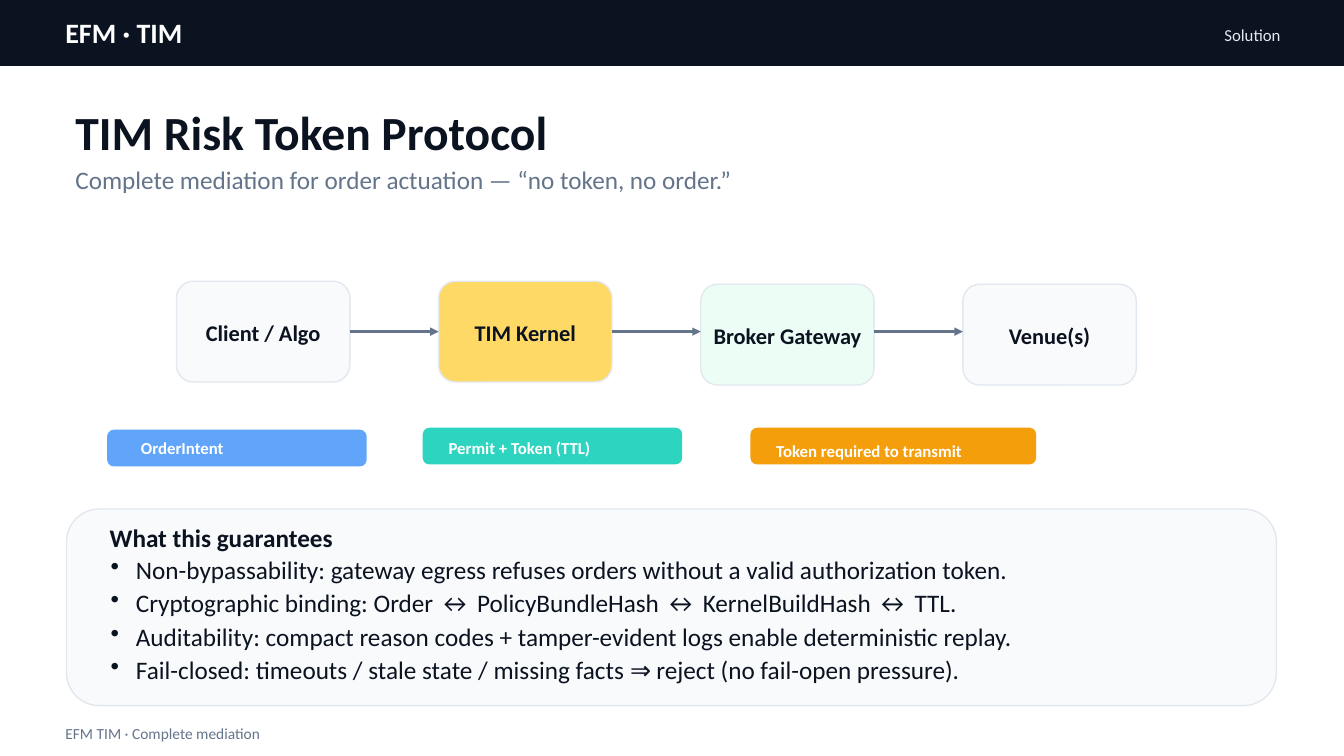
from lxml import etree
from pptx import Presentation
from pptx.dml.color import RGBColor
from pptx.enum.shapes import MSO_CONNECTOR, MSO_SHAPE
from pptx.enum.text import MSO_ANCHOR, PP_ALIGN
from pptx.oxml.ns import qn
from pptx.util import Inches, Pt

RECT, ROUNDED = MSO_SHAPE.RECTANGLE, MSO_SHAPE.ROUNDED_RECTANGLE
STRAIGHT = MSO_CONNECTOR.STRAIGHT
TOP, MIDDLE = MSO_ANCHOR.TOP, MSO_ANCHOR.MIDDLE
LEFT, CENTER, RIGHT = PP_ALIGN.LEFT, PP_ALIGN.CENTER, PP_ALIGN.RIGHT

FONT = "Calibri"
NAVY = RGBColor(0x0B, 0x13, 0x20)
WHITE = RGBColor(0xFF, 0xFF, 0xFF)
SLATE = RGBColor(0x64, 0x74, 0x8B)
MIST = RGBColor(0xE2, 0xE8, 0xF0)
PALE = RGBColor(0xF8, 0xFA, 0xFC)
YELLOW = RGBColor(0xFF, 0xD9, 0x66)
MINT = RGBColor(0xEC, 0xFD, 0xF5)
BLUE = RGBColor(0x60, 0xA5, 0xFA)
TEAL = RGBColor(0x2D, 0xD4, 0xBF)
ORANGE = RGBColor(0xF5, 0x9E, 0x0B)

BRAND_STYLE = {"size": Pt(20), "color": WHITE, "bold": True}
SECTION_STYLE = {"size": Pt(12), "color": MIST}
TITLE_STYLE = {"size": Pt(34), "color": NAVY, "bold": True}
SUBTITLE_STYLE = {"size": Pt(18), "color": SLATE}
NODE_STYLE = {"size": Pt(16), "color": NAVY, "bold": True}
TAG_STYLE = {"size": Pt(12), "color": WHITE, "bold": True}
HEADING_STYLE = {"size": Pt(18), "color": NAVY, "bold": True}
BULLET_STYLE = {"size": Pt(18), "color": NAVY}
FOOTER_STYLE = {"size": Pt(11), "color": SLATE}

NODE_WIDTH, NODE_HEIGHT, NODE_PITCH = 1.72, 1, 2.6
# Label, fill, drop below the top of the flow
NODES = [
    ("Client / Algo", PALE, 0),
    ("TIM Kernel", YELLOW, 0),
    ("Broker Gateway", MINT, 0.03),
    ("Venue(s)", PALE, 0.03),
]
# Label, fill, left, top, width, label indent, label drop, label height
TAGS = [
    ("OrderIntent", BLUE, 0, 0.02, 2.56, 0.23, 0.05, 0.25),
    ("Permit + Token (TTL)", TEAL, 3.13, 0, 2.56, 0.15, 0.07, 0.25),
    ("Token required to transmit", ORANGE, 6.38, 0, 2.82, 0.15, 0.07, 0.3),
]
GUARANTEES = [
    "Non-bypassability: gateway egress refuses orders without a valid authorization token.",
    "Cryptographic binding: Order ↔ PolicyBundleHash ↔ KernelBuildHash ↔ TTL.",
    "Auditability: compact reason codes + tamper-evident logs enable deterministic replay.",
    "Fail-closed: timeouts / stale state / missing facts ⇒ reject (no fail-open pressure).",
]


def style_font(font, style):
    for name, value in {"name": FONT, **style}.items():
        if name == "color":
            font.color.rgb = value
        else:
            setattr(font, name, value)


def add_text(slide, box, lines, style, align=LEFT, anchor=MIDDLE, bulleted=False):
    frame = slide.shapes.add_textbox(*map(Inches, box)).text_frame
    frame.word_wrap = True
    frame.vertical_anchor = anchor
    for index, line in enumerate(lines):
        paragraph = frame.add_paragraph() if index else frame.paragraphs[0]
        paragraph.text = line
        paragraph.alignment = align
        if bulleted:
            paragraph.space_after = Pt(2.2)
            properties = paragraph._p.get_or_add_pPr()
            properties.set("marL", str(Inches(0.25)))
            properties.set("indent", str(-Inches(0.25)))
            etree.SubElement(properties, qn("a:buChar")).set("char", "•")
        style_font(paragraph.runs[0].font, style)


def add_panel(slide, box, fill, line, preset=ROUNDED):
    panel = slide.shapes.add_shape(preset, *map(Inches, box))
    panel.shadow.inherit = False
    panel.fill.solid()
    panel.fill.fore_color.rgb = fill
    panel.line.color.rgb = line
    panel.line.width = Pt(1)


def add_arrow(slide, start, end, y):
    arrow = slide.shapes.add_connector(STRAIGHT, *map(Inches, (start, y, end, y)))
    arrow.line.color.rgb = SLATE
    arrow.line.width = Pt(2)
    etree.SubElement(arrow.line._get_or_add_ln(), qn("a:tailEnd")).set("type", "triangle")
    etree.SubElement(arrow._element.spPr, qn("a:effectLst"))


def add_header(slide, left, top, width, height):
    add_panel(slide, (left, top, width, height), NAVY, NAVY, RECT)
    add_text(slide, (left + 0.55, top + 0.15, 9.5, 0.35), ["EFM · TIM"], BRAND_STYLE)
    add_text(slide, (left + width - 3.23, top + 0.2, 2.7, 0.3), ["Solution"],
             SECTION_STYLE, RIGHT)


def add_title(slide, left, top, width):
    add_text(slide, (left, top, width, 0.7), ["TIM Risk Token Protocol"], TITLE_STYLE)
    add_text(slide, (left, top + 0.6, width, 0.45),
             ["Complete mediation for order actuation — “no token, no order.”"],
             SUBTITLE_STYLE)


def add_flow(slide, left, top):
    for index, (label, fill, drop) in enumerate(NODES):
        x, y = left + index * NODE_PITCH, top + drop
        add_panel(slide, (x, y, NODE_WIDTH, NODE_HEIGHT), fill, MIST)
        add_text(slide, (x, y + 0.33, NODE_WIDTH, 0.35), [label], NODE_STYLE, CENTER)
        if index:
            add_arrow(slide, x - NODE_PITCH + NODE_WIDTH, x, top + NODE_HEIGHT / 2)


def add_tags(slide, left, top):
    for label, fill, dx, dy, width, indent, drop, height in TAGS:
        x, y = left + dx, top + dy
        add_panel(slide, (x, y, width, 0.35), fill, fill)
        add_text(slide, (x + indent, y + drop, width - indent, height), [label], TAG_STYLE)


def add_guarantees(slide, left, top, width, height):
    add_panel(slide, (left, top, width, height), PALE, MIST)
    add_text(slide, (left + 0.33, top + 0.11, width - 0.8, 0.35),
             ["What this guarantees"], HEADING_STYLE)
    add_text(slide, (left + 0.34, top + 0.4, width - 0.8, height - 0.4), GUARANTEES,
             BULLET_STYLE, anchor=TOP, bulleted=True)


def add_footer(slide, left, top, width, height):
    add_text(slide, (left, top, width, height), ["EFM TIM · Complete mediation"],
             FOOTER_STYLE)


def main():
    deck = Presentation()
    deck.slide_width, deck.slide_height = Inches(13.33), Inches(7.5)
    slide = deck.slides.add_slide(deck.slide_layouts[6])
    add_header(slide, 0, 0, 13.33, 0.65)
    add_title(slide, 0.65, 0.95, 12.03)
    add_flow(slide, 1.75, 2.79)
    add_tags(slide, 1.07, 4.25)
    add_guarantees(slide, 0.66, 5.05, 12, 1.95)
    add_footer(slide, 0.55, 7.15, 12.23, 0.25)
    deck.save("out.pptx")


if __name__ == "__main__":
    main()
